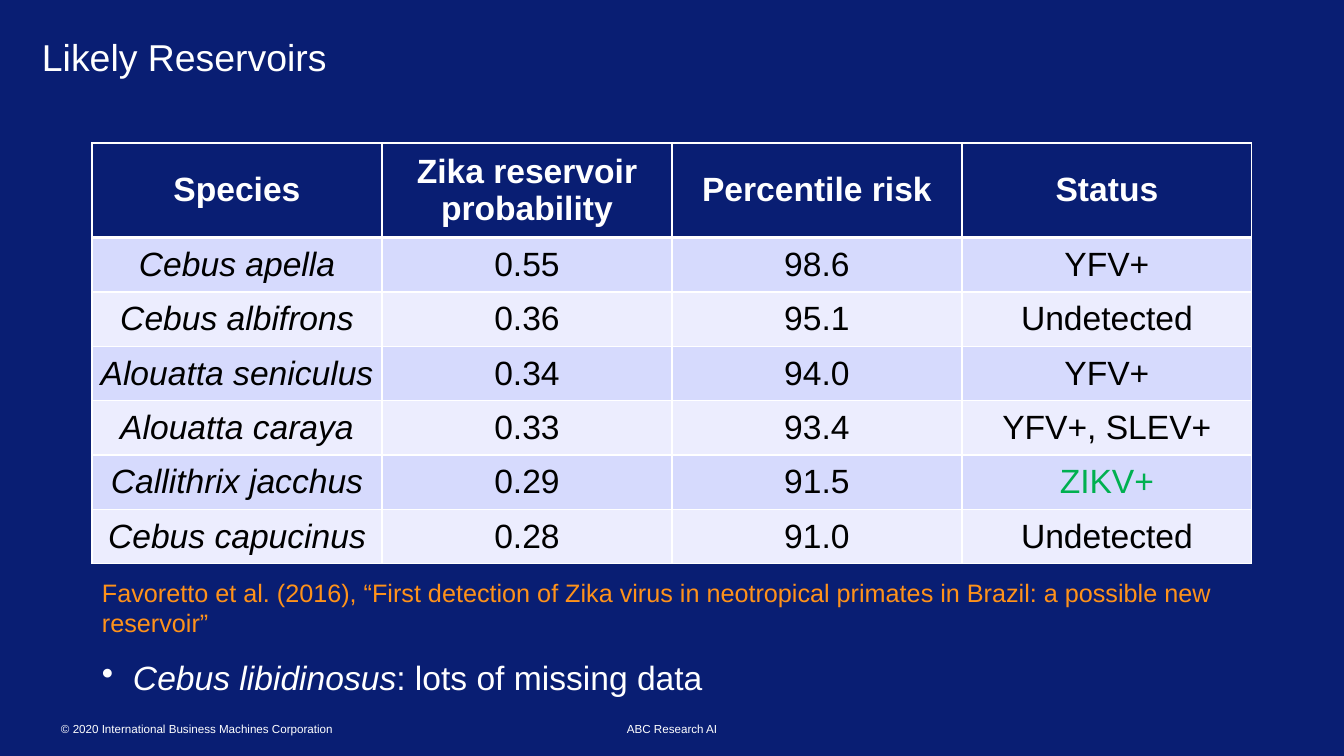
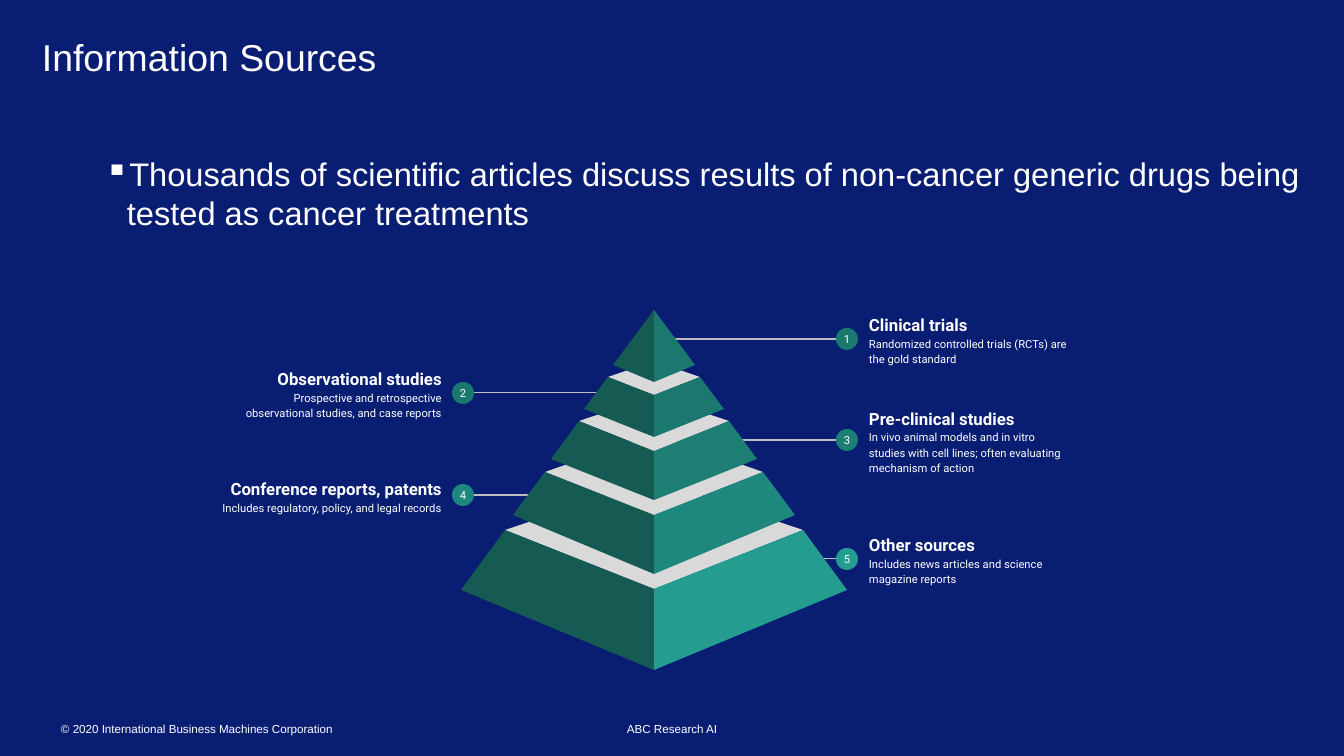
"""Build two slides: a table of likely reservoirs and a pyramid of information sources."""
from lxml import etree
from pptx import Presentation
from pptx.dml.color import RGBColor
from pptx.enum import shapes, text
from pptx.oxml import ns
from pptx import util as u

WIDE, HIGH = 1344, 756
PX = 12192000 / WIDE

NAVY = RGBColor(0x09, 0x1E, 0x73)
WHITE = RGBColor(0xFF, 0xFF, 0xFF)
BLACK = RGBColor(0x00, 0x00, 0x00)
GREEN = RGBColor(0x00, 0xB0, 0x50)
AMBER = RGBColor(0xFF, 0x92, 0x1A)
BANDS = RGBColor(0xEC, 0xED, 0xFE), RGBColor(0xD6, 0xDA, 0xFD)
GREY = RGBColor(0xBD, 0xBD, 0xBD)
PALE = RGBColor(0xD9, 0xD9, 0xD9)
DARK = RGBColor(0x15, 0x5B, 0x54)
TEALS = [RGBColor.from_string(c) for c in ("1B786E", "1B786E", "1D7E74", "1F887E", "249C90")]

LEFT, MID, RIGHT = text.PP_ALIGN.LEFT, text.PP_ALIGN.CENTER, text.PP_ALIGN.RIGHT

FOOTS = [
    ("© 2020 International Business Machines Corporation", 54, LEFT),
    ("ABC Research AI", 492, MID),
]
ROWS = [
    ("Species", "Zika reservoir probability", "Percentile risk", "Status"),
    ("Cebus apella", "0.55", "98.6", "YFV+"),
    ("Cebus albifrons", "0.36", "95.1", "Undetected"),
    ("Alouatta seniculus", "0.34", "94.0", "YFV+"),
    ("Alouatta caraya", "0.33", "93.4", "YFV+, SLEV+"),
    ("Callithrix jacchus", "0.29", "91.5", "ZIKV+"),
    ("Cebus capucinus", "0.28", "91.0", "Undetected"),
]
CITE = ("Favoretto et al. (2016), “First detection of Zika virus in neotropical "
        "primates in Brazil: a possible new reservoir”")
GAP = [("Cebus libidinosus", True), (": lots of missing data", False)]
CLAIM = ("Thousands of scientific articles discuss results of non-cancer generic drugs "
         "being tested as cancer treatments")
NOTES = [
    ("Clinical trials", "Randomized controlled trials (RCTs) are the gold standard", 339, 672, 226),
    ("Observational studies",
     "Prospective and retrospective observational studies, and case reports", 393, 600, 235),
    ("Pre-clinical studies", "In vivo animal models and in vitro studies with cell lines; "
     "often evaluating mechanism of action", 440, 731, 217),
    ("Conference reports, patents", "Includes regulatory, policy, and legal records", 495, 550, 249),
    ("Other sources", "Includes news articles and science magazine reports", 559, 787, 217),
]
AXIS = 654
TIERS = [
    dict(top=(0, 310, 310, 310), base=(41, 365, 382)),
    dict(top=(46, 361, 377, 395), base=(70, 409, 437)),
    dict(top=(75, 396, 421, 451), base=(103, 459, 500)),
    dict(top=(109, 434, 472, 515), base=(141, 515, 574)),
    dict(top=(149, 480, 530, 589), base=(193, 590, 670)),
]


def px(*vals):
    """Turn pixels into EMU."""
    return [u.Emu(round(v * PX)) for v in vals]


def style(para, size, color=WHITE, face="Arial", bold=False, ital=False, align=LEFT):
    """Set the font and alignment of a whole paragraph."""
    font = para.font
    font.size, font.name, font.bold, font.italic = u.Pt(size), face, bold, ital
    font.color.rgb = color
    para.alignment = align


def pad(frame, sides):
    """Set the four insets of a text frame or cell."""
    (frame.margin_left, frame.margin_top,
     frame.margin_right, frame.margin_bottom) = px(*sides)


def box(slide, place, sides=(10, 5, 10, 5)):
    """Add a wrapping text box and return its frame."""
    frame = slide.shapes.add_textbox(*px(*place)).text_frame
    frame.word_wrap = True
    pad(frame, sides)
    return frame


def bullet(para, mark, hang):
    """Give a paragraph a bullet and a hanging indent."""
    props = para._p.get_or_add_pPr()
    size = px(hang)[0]
    props.set("marL", str(size))
    props.set("indent", str(-size))
    etree.SubElement(props, ns.qn("a:buChar")).set("char", mark)


def paint(shape, color):
    """Fill a shape flat, with no line or shadow."""
    shape.shadow.inherit = False
    shape.fill.solid()
    shape.fill.fore_color.rgb = color
    shape.line.fill.background()


def start(deck, title):
    """Add a slide with the shared ground, title and footers."""
    slide = deck.slides.add_slide(deck.slide_layouts[6])
    slide.background.fill.solid()
    slide.background.fill.fore_color.rgb = NAVY
    for words, left, align in FOOTS:
        para = box(slide, (left, 718, 360, 22), (7, 4, 7, 4)).paragraphs[0]
        para.text = words
        style(para, 8.3, align=align)
    para = box(slide, (42, 39, 1113, 66), (0, 0, 70, 0)).paragraphs[0]
    para.text, para.line_spacing = title, 0.9
    style(para, 26.7)
    return slide


def edge(cell, row):
    """Draw white cell borders, thick under the header."""
    props = cell._tc.get_or_add_tcPr()
    for side in "LRTB":
        thick = (row, side) in ((0, "B"), (1, "T"))
        line = etree.SubElement(props, ns.qn("a:ln" + side), w=str(u.Pt(3 if thick else 1)))
        fill = etree.SubElement(line, ns.qn("a:solidFill"))
        etree.SubElement(fill, ns.qn("a:srgbClr")).set("val", str(WHITE))


def grid(slide):
    """Add the species table."""
    count, cols = len(ROWS), len(ROWS[0])
    head, step = 89, 51
    place = px(92, 143, 290 * cols, head + step * (count - 1))
    table = slide.shapes.add_table(count, cols, *place).table
    for r, row in enumerate(ROWS):
        table.rows[r].height = px(step if r else head)[0]
        for c, words in enumerate(row):
            cell = table.cell(r, c)
            edge(cell, r)
            cell.fill.solid()
            cell.fill.fore_color.rgb = BANDS[r % 2] if r else NAVY
            cell.vertical_anchor = text.MSO_ANCHOR.MIDDLE
            pad(cell, (7, 7, 7, 7))
            para = cell.text_frame.paragraphs[0]
            para.text = words
            ink = GREEN if words == "ZIKV+" else BLACK if r else WHITE
            style(para, 24, ink, bold=r == 0, ital=r > 0 and c == 0, align=MID)


def remarks(slide):
    """Add the citation and the remark under the table."""
    frame = box(slide, (92, 572, 1159, 136))
    cite, gap = frame.paragraphs[0], frame.add_paragraph()
    cite.text = CITE
    style(cite, 18, AMBER)
    gap.space_before = u.Pt(14)
    bullet(gap, "•", 31)
    for words, ital in GAP:
        run = gap.add_run()
        run.text, run.font.italic = words, ital
    style(gap, 24)


def note(slide, num, color, head, body, mid, near, width):
    """Add a leader line, a numbered badge and its label."""
    odd = num % 2
    hub, size = (847 if odd else 463), 22
    line = slide.shapes.add_connector(shapes.MSO_CONNECTOR.STRAIGHT, *px(near, mid, hub, mid))
    line.line.color.rgb, line.line.width = GREY, u.Pt(0.75)
    etree.SubElement(line._element.spPr, ns.qn("a:effectLst"))
    badge = slide.shapes.add_shape(
        shapes.MSO_SHAPE.OVAL, *px(hub - size / 2, mid - size / 2, size, size))
    paint(badge, color)
    pad(badge.text_frame, (0, 0, 0, 0))
    badge.text_frame.vertical_anchor = text.MSO_ANCHOR.MIDDLE
    para = badge.text_frame.paragraphs[0]
    para.text = str(num)
    style(para, 8, face="Roboto", align=MID)
    left = 859 if odd else 452 - width
    frame = box(slide, (left, mid - 41, width, 82), (10, 10, 10, 10))
    frame.vertical_anchor = text.MSO_ANCHOR.MIDDLE
    for para, words, pts in ((frame.paragraphs[0], head, 12), (frame.add_paragraph(), body, 8)):
        para.text, para.line_spacing = words, 1.15
        style(para, pts, face="Roboto", bold=words == head, align=LEFT if odd else RIGHT)


def face(slide, color, first, *rest):
    """Add one flat polygon."""
    path = slide.shapes.build_freeform(*first, scale=PX)
    path.add_line_segments(rest)
    paint(path.convert_to_shape(), color)


def tier(slide, color, top, base):
    """Add a pyramid tier: pale top, dark left face, bright right face."""
    half, back, side, front = top
    wide, low, foot = base
    if half:
        face(slide, PALE, (AXIS - half, side), (AXIS, front), (AXIS + half, side), (AXIS, back))
    for sign, ink in ((-1, DARK), (1, color)):
        face(slide, ink, (AXIS + sign * half, side), (AXIS, front),
             (AXIS, foot), (AXIS + sign * wide, low))


def main():
    """Build and save the deck."""
    deck = Presentation()
    deck.slide_width, deck.slide_height = px(WIDE, HIGH)
    slide = start(deck, "Likely Reservoirs")
    grid(slide)
    remarks(slide)

    slide = start(deck, "Information Sources")
    claim = box(slide, (95, 149, 1215, 90)).paragraphs[0]
    claim.text = CLAIM
    bullet(claim, "▪", 22)
    style(claim, 23.3)
    for num, (color, item) in enumerate(zip(TEALS, NOTES), 1):
        note(slide, num, color, *item)
    for color, item in reversed(list(zip(TEALS, TIERS))):
        tier(slide, color, **item)
    deck.save("out.pptx")


if __name__ == "__main__":
    main()
